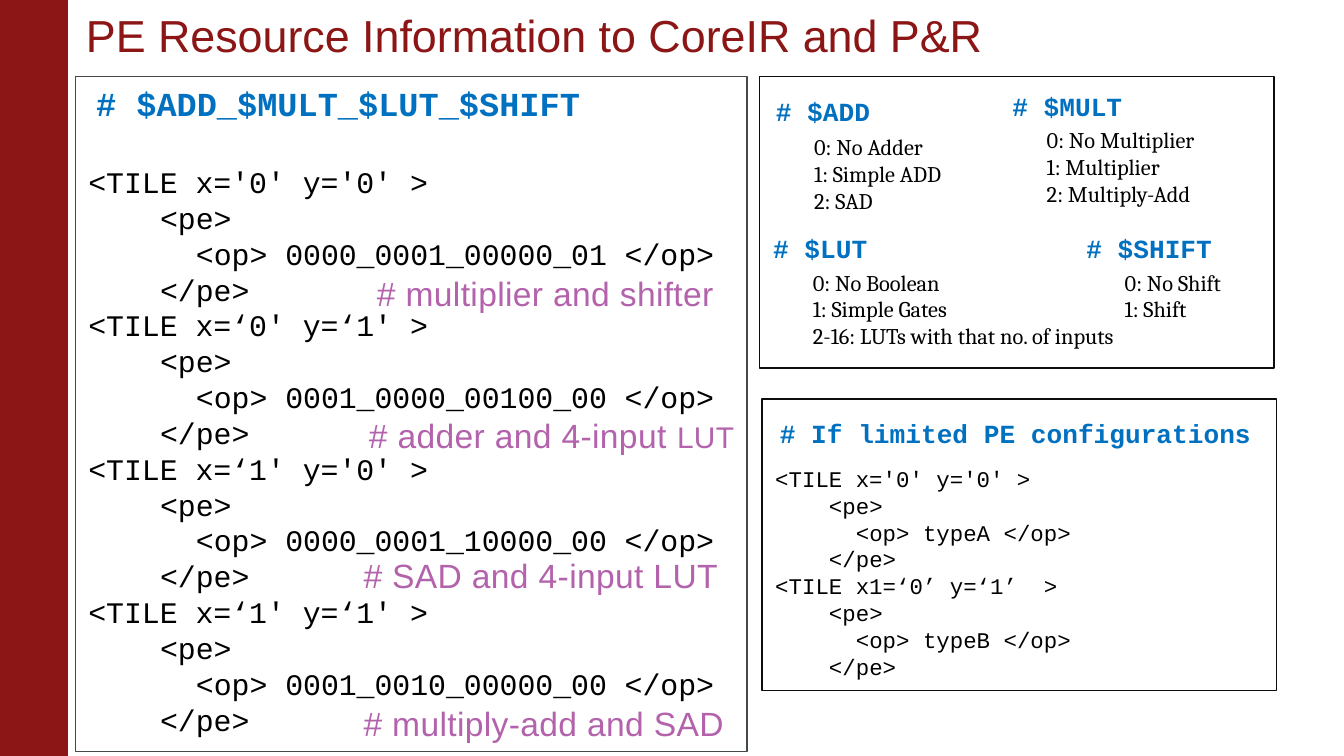
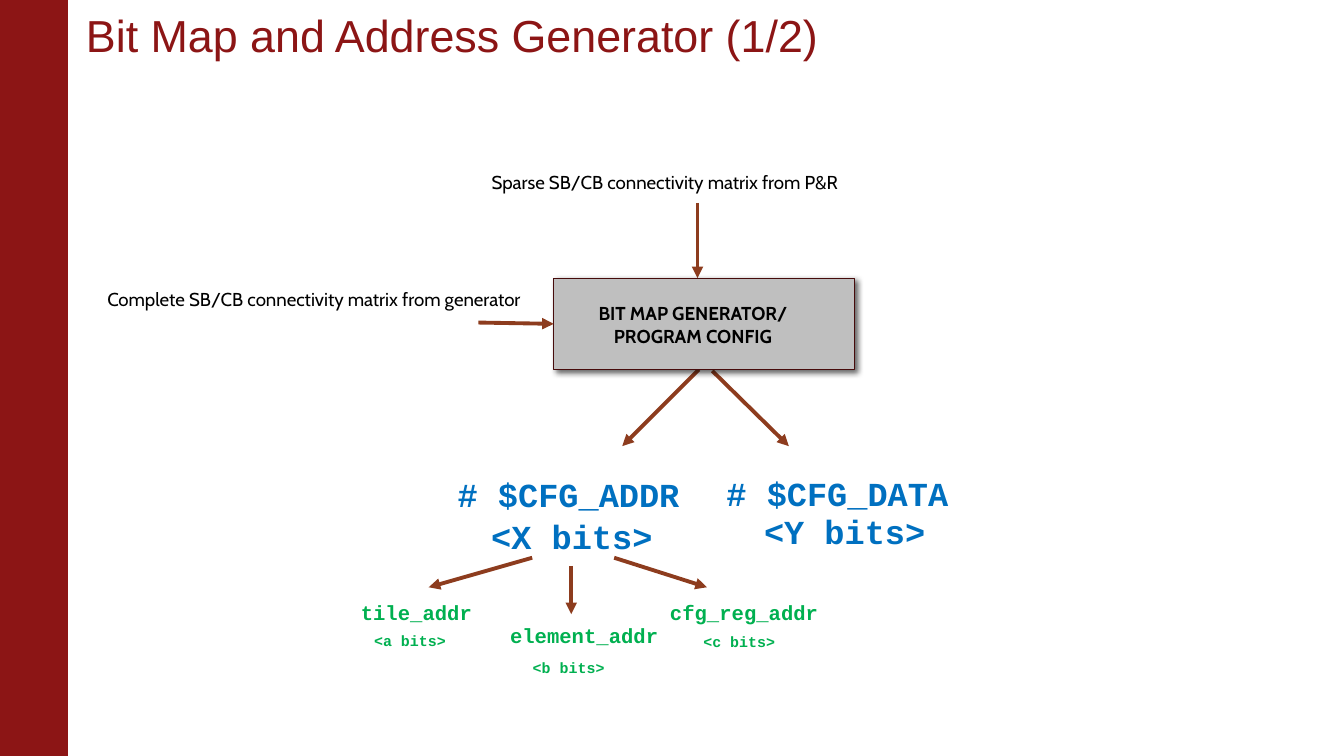
import pptx
import pptx.util
import pptx.dml.color
import pptx.enum.shapes
import pptx.enum.text
import pptx.oxml
import pptx.oxml.ns

Inches, Pt = pptx.util.Inches, pptx.util.Pt
CARDINAL, BLUE, PURPLE, GREEN = "8C1515", "0070C0", "B362AC", "00B050"
BROWN, BLACK = "8D3C1E", "000000"
MONO, SANS = "Courier New", "Cabin"

TITLES = ["PE Resource Information to CoreIR and P&R",
          "Bit Map and Address Generator (1/2)"]

TILES = [
    ("<TILE x='0' y='0' >", "0000_0001_00000_01"),
    ("<TILE x=‘0' y=‘1' >", "0001_0000_00100_00"),
    ("<TILE x=‘1' y='0' >", "0000_0001_10000_00"),
    ("<TILE x=‘1' y=‘1' >", "0001_0010_00000_00"),
]
LIMITED_TILES = [("<TILE x='0' y='0' >", "typeA"),
                 ("<TILE x1=‘0’ y=‘1’  >", "typeB")]
TILE_NOTES = [
    ((2.65, 1.98, 2.8, 0.4), [("# multiplier and shifter", 18)]),
    ((2.59, 3.04, 3.06, 0.4), [("# adder and 4-input ", 18), ("LUT", 16)]),
    ((2.55, 4.08, 3, 0.4), [("# SAD and 4-input LUT", 18)]),
    ((2.55, 5.18, 2.97, 0.4), [("# multiply-add and SAD", 18)]),
]
FIELD_HEADS = [
    ((5.63, 0.66, 0.95, 0.34), "# $ADD"),
    ((7.39, 0.62, 1.07, 0.34), "# $MULT"),
    ((5.61, 1.68, 0.95, 0.34), "# $LUT"),
    ((7.94, 1.68, 1.19, 0.34), "# $SHIFT"),
    ((5.66, 3.06, 3.89, 0.34), "# If limited PE configurations"),
]
FIELD_VALUES = [
    ((7.69, 0.89, 1.33, 0.71),
     ["0: No Multiplier", "1: Multiplier", "2: Multiply-Add"]),
    ((5.96, 0.94, 1.23, 0.71), ["0: No Adder", "1: Simple ADD", "2: SAD"]),
    ((5.95, 1.95, 2.59, 0.71),
     ["0: No Boolean", "1: Simple Gates", "2-16: LUTs with that no. of inputs"]),
    ((8.27, 1.95, 0.95, 0.5), ["0: No Shift", "1: Shift"]),
]

INPUTS = [
    ((3.56, 1.22, 2.93, 0.27), "Sparse SB/CB connectivity matrix from P&R"),
    ((0.7, 2.09, 3.4, 0.27), "Complete SB/CB connectivity matrix from generator"),
]
GENERATOR = ["BIT MAP GENERATOR/", "PROGRAM CONFIG"]
OUTPUTS = [
    ((3.25, 3.48, 1.92, 0.4), "# $CFG_ADDR"),
    ((3.5, 3.79, 1.47, 0.4), "<X bits>"),
    ((5.25, 3.47, 1.92, 0.4), "# $CFG_DATA"),
    ((5.53, 3.75, 1.47, 0.4), "<Y bits>"),
]
ADDRESS_PARTS = [
    ((2.53, 4.32, 1.1, 0.4), "tile_addr", (2.66, 4.65, 0.76, 0.24), "<a bits>"),
    ((3.64, 4.49, 1.37, 0.4), "element_addr", (3.84, 4.85, 0.76, 0.24), "<b bits>"),
    ((4.83, 4.32, 1.37, 0.4), "cfg_reg_addr", (5.11, 4.66, 0.76, 0.24), "<c bits>"),
]
ARROWS = [
    (5.19, 1.51, 5.19, 2.07),
    (5.2, 2.75, 4.63, 3.32),
    (5.3, 2.76, 5.87, 3.32),
    (3.96, 4.15, 3.19, 4.37),
    (4.25, 4.21, 4.25, 4.57),
    (4.57, 4.15, 5.26, 4.37),
]


def rgb(color):
    return pptx.dml.color.RGBColor.from_string(color)


def place(at):
    return [Inches(v) for v in at]


def write(tf, text, size=12, font=MONO, color=BLACK, bold=False, lead=None,
          indent=0, align="LEFT", spacing=None, after=0, tracking=0):
    p = tf.paragraphs[0]
    if p.runs:
        p = tf.add_paragraph()
    p.alignment = getattr(pptx.enum.text.PP_ALIGN, align)
    p.space_after = Pt(after)
    if spacing:
        p.line_spacing = spacing
    if indent:
        p._p.get_or_add_pPr().set("marL", str(Inches(indent)))
    runs = [(text, size)] if isinstance(text, str) else text
    runs = [(t, z, font, bold, tracking) for t, z in runs]
    if lead:
        runs.insert(0, (" ", lead, "Calibri", True, 0))
    for t, z, face, heavy, spread in runs:
        r = p.add_run()
        r.text = t
        r.font.size, r.font.name, r.font.bold = Pt(z), face, heavy
        r.font.color.rgb = rgb(color)
        if spread:
            r._r.get_or_add_rPr().set("spc", str(int(spread * 100)))


def label(s, at, lines, wrap=False, **fmt):
    tf = s.shapes.add_textbox(*place(at)).text_frame
    tf.word_wrap = wrap
    tf.auto_size = pptx.enum.text.MSO_AUTO_SIZE.SHAPE_TO_FIT_TEXT
    for line in lines:
        write(tf, line, **fmt)
    return tf


def write_code(tf, tiles, size):
    for tile, op in tiles:
        for chars, line in [(0, tile), (4, "<pe>"), (6, f"<op> {op} </op>"),
                            (4, "</pe>")]:
            write(tf, line, size=size, indent=chars * size * 0.6 / 72,
                  spacing=Pt(size * 1.2))


def rect(s, at, line, fill=None):
    sp = s.shapes.add_shape(pptx.enum.shapes.MSO_SHAPE.RECTANGLE, *place(at))
    sp.shadow.inherit = False
    if fill:
        sp.fill.solid()
        sp.fill.fore_color.rgb = rgb(fill)
    else:
        sp.fill.background()
    sp.line.color.rgb = rgb(line)
    sp.line.width = Pt(0.75)
    return sp


def drop_shadow(sp):
    ns = pptx.oxml.ns
    effects = sp._element.spPr.find(ns.qn("a:effectLst"))
    effects.append(pptx.oxml.parse_xml(
        f'<a:outerShdw {ns.nsdecls("a")} blurRad="{Pt(3)}" dist="{Pt(2)}" '
        'dir="2700000" algn="tl" rotWithShape="0"><a:srgbClr val="000000">'
        '<a:alpha val="60000"/></a:srgbClr></a:outerShdw>'))


def arrow(s, ends):
    cx = s.shapes.add_connector(pptx.enum.shapes.MSO_CONNECTOR.STRAIGHT, *place(ends))
    cx.line.color.rgb = rgb(BROWN)
    cx.line.width = Pt(2.08)
    ns = pptx.oxml.ns.nsdecls("a")
    cx.line._get_or_add_ln().append(
        pptx.oxml.parse_xml(f'<a:tailEnd {ns} type="triangle"/>'))
    cx._element.spPr.append(pptx.oxml.parse_xml(f"<a:effectLst {ns}/>"))
    return cx


def new_slide(prs, title):
    s = prs.slides.add_slide(prs.slide_layouts[6])
    band = rect(s, (0, 0, 0.5, 5.63), CARDINAL, CARDINAL)
    band.height = prs.slide_height
    tf = s.shapes.add_textbox(*place((0.64, -0.02, 8.43, 0.53))).text_frame
    tf.word_wrap = True
    tf.margin_left = 0
    tf.vertical_anchor = pptx.enum.text.MSO_ANCHOR.BOTTOM
    write(tf, title, size=24, font="Arial", color=CARDINAL, spacing=0.85)
    return s


def resource_slide(prs):
    s = new_slide(prs, TITLES[0])
    tf = rect(s, (0.56, 0.57, 5, 5.02), "434A44").text_frame
    tf.word_wrap = True
    tf.vertical_anchor = pptx.enum.text.MSO_ANCHOR.TOP
    write(tf, "# $ADD_$MULT_$LUT_$SHIFT", size=18, color=BLUE, bold=True,
          lead=18, after=21.6)
    write_code(tf, TILES, 16)
    for at, head in FIELD_HEADS:
        label(s, at, [head], size=14, color=BLUE, bold=True, lead=14)
    for at, values in FIELD_VALUES:
        label(s, at, values, font="Cambria")
    for at, note in TILE_NOTES:
        label(s, at, [note], font="Arial", color=PURPLE, lead=18, tracking=0.2)
    for left, top in [(5.65, 0.57), (5.67, 2.97)]:
        rect(s, (left, top, 3.83, 2.17), "0D0D0D")
    write_code(label(s, (5.67, 3.41, 5, 1.72), [], wrap=True), LIMITED_TILES, 12)


def generator_slide(prs):
    s = new_slide(prs, TITLES[1])
    for ends in ARROWS:
        arrow(s, ends)
    for at, source in INPUTS:
        label(s, at, [source], size=10, font=SANS)
    box = rect(s, (4.12, 2.07, 2.24, 0.68), "460B0B", "BFBFBF")
    drop_shadow(box)
    arrow(s, (3.56, 2.4, 4.12, 2.41)).end_connect(box, 1)
    label(s, (4.28, 2.2, 1.75, 0.44), GENERATOR, size=10, font=SANS, bold=True,
          align="CENTER")
    for at, name in OUTPUTS:
        label(s, at, [name], size=18, color=BLUE, bold=True, lead=18)
    for at, name, bits_at, bits in ADDRESS_PARTS:
        label(s, at, [name], size=11, color=GREEN, bold=True, lead=18)
        label(s, bits_at, [bits], size=8, color=GREEN, bold=True, lead=8)


def main():
    prs = pptx.Presentation()
    prs.slide_width = Inches(10)
    prs.slide_height = prs.slide_width * 9 // 16
    resource_slide(prs)
    generator_slide(prs)
    prs.save("out.pptx")


if __name__ == "__main__":
    main()
